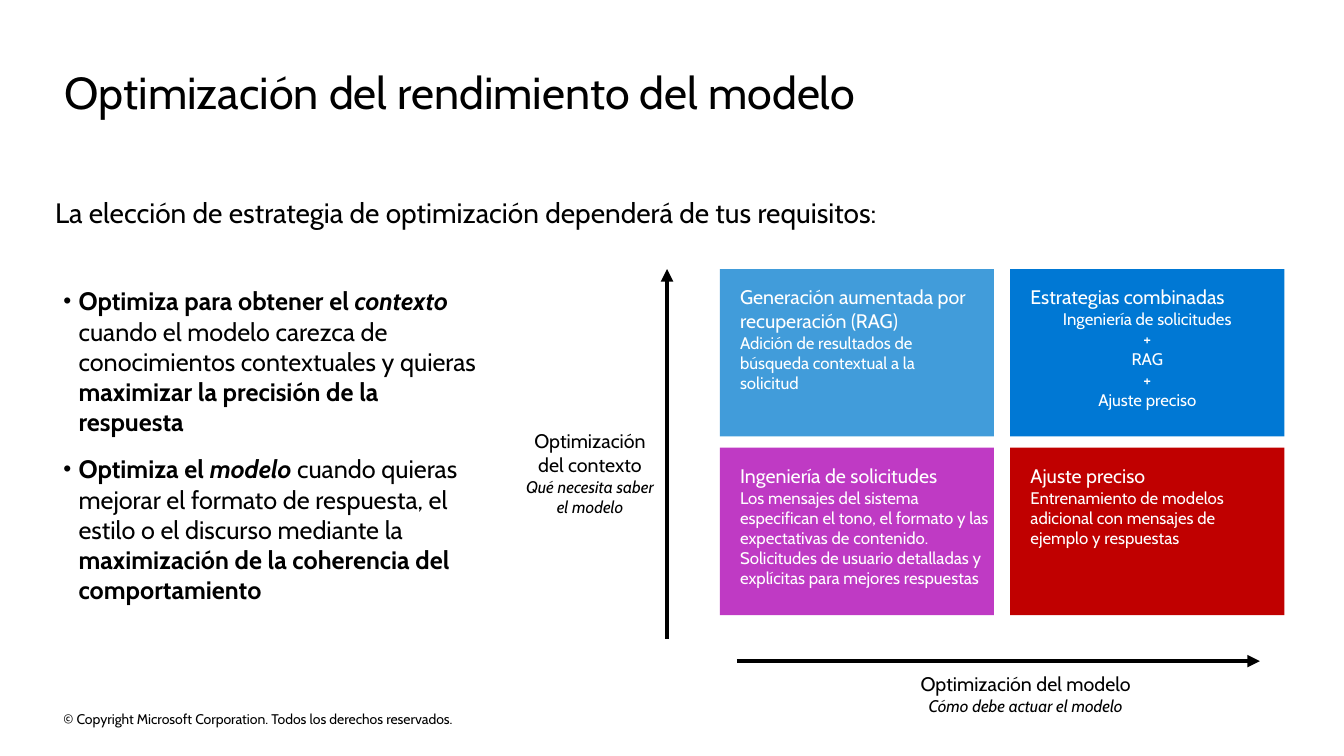
from lxml.etree import SubElement
from pptx import Presentation
from pptx.dml.color import RGBColor
from pptx.enum.shapes import MSO_CONNECTOR, MSO_SHAPE
from pptx.enum.text import MSO_ANCHOR, MSO_AUTO_SIZE, PP_ALIGN
from pptx.oxml.ns import qn
from pptx.util import Cm, Pt

COLORS = {"text": "000000", "white": "FFFFFF", "rag": "419CDA",
          "prompt": "BF3AC4", "tuning": "C00000", "combined": "0078D4"}


def set_frame(shape, insets=(0, 0, 0, 0), anchor=MSO_ANCHOR.TOP):
    frame = shape.text_frame
    frame.word_wrap = True
    frame.auto_size = MSO_AUTO_SIZE.NONE
    frame.vertical_anchor = anchor
    frame.margin_left, frame.margin_top, frame.margin_right, frame.margin_bottom = map(Cm, insets)
    return frame


def add_lines(frame, lines, color="text"):
    """Write (text, size, alignment, italic) lines, one paragraph each."""
    for number, (text, size, alignment, italic) in enumerate(lines):
        para = frame.paragraphs[0] if number == 0 else frame.add_paragraph()
        para.text = text
        para.alignment = alignment
        para.font.name = "Cabin"
        para.font.size = Pt(size)
        para.font.italic = italic
        para.font.color.rgb = RGBColor.from_string(COLORS[color])


deck = Presentation()
deck.slide_width, deck.slide_height = Cm(33.87), Cm(19.05)
page = deck.slides.add_slide(deck.slide_layouts[1])
LEFT, CENTER = PP_ALIGN.LEFT, PP_ALIGN.CENTER

# Title
title = page.shapes.title
title.left, title.top, title.width, title.height = Cm(1.63), Cm(1.63), Cm(30.58), Cm(1.35)
add_lines(set_frame(title), [("Optimización del rendimiento del modelo", 32, LEFT, False)])

# Introduction, axis labels and copyright line
labels = [
    ((1.14, 4.8, 23.9, 1.96), (0.25, 0.13, 0.25, 0.13), MSO_ANCHOR.TOP,
     [("La elección de estrategia de optimización dependerá de tus requisitos:", 20, LEFT, False)]),
    ((13.13, 10.82, 3.48, 2.24), (0, 0, 0, 0), MSO_ANCHOR.TOP,
     [("Optimización del contexto", 14, CENTER, False),
      ("Qué necesita saber el modelo", 12, CENTER, True)]),
    ((22.66, 16.94, 6.38, 1.12), (0, 0, 0, 0), MSO_ANCHOR.TOP,
     [("Optimización del modelo", 14, CENTER, False),
      ("Cómo debe actuar el modelo", 12, CENTER, True)]),
    ((1.6, 17.83, 11.53, 0.56), (0, 0, 0, 0), MSO_ANCHOR.MIDDLE,
     [("© Copyright Microsoft Corporation. Todos los derechos reservados.", 10, LEFT, False)]),
]
for place, insets, anchor, lines in labels:
    box = page.shapes.add_textbox(*map(Cm, place))
    add_lines(set_frame(box, insets, anchor), lines)

# Bulleted list: each span is (text, bold, italic)
bullets = [
    [("Optimiza para obtener el ", True, False), ("contexto ", True, True),
     ("cuando el modelo carezca de conocimientos contextuales y quieras ", False, False),
     ("maximizar la precisión de la respuesta", True, False)],
    [("Optimiza el ", True, False), ("modelo ", True, True),
     ("cuando quieras mejorar el formato de respuesta, el estilo o el discurso mediante la ",
      False, False),
     ("maximización de la coherencia del comportamiento", True, False)],
]
body = page.placeholders[1]
body.left, body.top, body.width, body.height = Cm(1.6), Cm(7.2), Cm(10.46), Cm(8.2)
body_frame = set_frame(body)
for number, spans in enumerate(bullets):
    para = body_frame.paragraphs[0] if number == 0 else body_frame.add_paragraph()
    para.space_before = Pt(12 * number)
    properties = para._p.get_or_add_pPr()
    properties.set("marL", str(Cm(0.38)))
    properties.set("indent", str(-Cm(0.38)))
    SubElement(properties, qn("a:buSzPct"), val="90000")
    SubElement(properties, qn("a:buFont"), typeface="Arial")
    SubElement(properties, qn("a:buChar"), char="•")
    para.font.name = "Cabin"
    para.font.size = Pt(18)
    para.font.color.rgb = RGBColor.from_string(COLORS["text"])
    for text, bold, italic in spans:
        span = para.add_run()
        span.text = text
        span.font.bold, span.font.italic = bold, italic

# Axis arrows
for ends in [(16.81, 16.1, 16.81, 6.78), (18.57, 16.66, 31.75, 16.66)]:
    arrow = page.shapes.add_connector(MSO_CONNECTOR.STRAIGHT, *map(Cm, ends))
    arrow.line.color.rgb = RGBColor.from_string(COLORS["text"])
    arrow.line.width = Pt(3)
    SubElement(arrow.line._get_or_add_ln(), qn("a:tailEnd"), type="triangle")
    SubElement(arrow._element.spPr, qn("a:effectLst"))

# Strategy quadrants: column, row, colour, right inset, heading, details, alignment
quadrants = [
    (0, 0, "rag", 0.51, "Generación aumentada por recuperación (RAG)",
     ["Adición de resultados de búsqueda contextual a la solicitud"], LEFT),
    (0, 1, "prompt", 0, "Ingeniería de solicitudes",
     ["Los mensajes del sistema especifican el tono, el formato y las expectativas de contenido.",
      "Solicitudes de usuario detalladas y explícitas para mejores respuestas"], LEFT),
    (1, 1, "tuning", 0.51, "Ajuste preciso",
     ["Entrenamiento de modelos adicional con mensajes de ejemplo y respuestas"], LEFT),
    (1, 0, "combined", 0.51, "Estrategias combinadas",
     ["Ingeniería de solicitudes", "+", "RAG", "+", "Ajuste preciso"], CENTER),
]
for column, row, color, right_inset, heading, details, alignment in quadrants:
    card = page.shapes.add_shape(MSO_SHAPE.RECTANGLE, Cm(18.14 + 7.32 * column),
                                 Cm(6.78 + 4.5 * row), Cm(6.91), Cm(4.22))
    card.shadow.inherit = False
    card.fill.solid()
    card.fill.fore_color.rgb = RGBColor.from_string(COLORS[color])
    card.line.fill.background()
    frame = set_frame(card, (0.51, 0.41, right_inset, 0.41))
    add_lines(frame, [(heading, 14, LEFT, False)]
              + [(detail, 12, alignment, False) for detail in details], "white")

deck.save("out.pptx")
